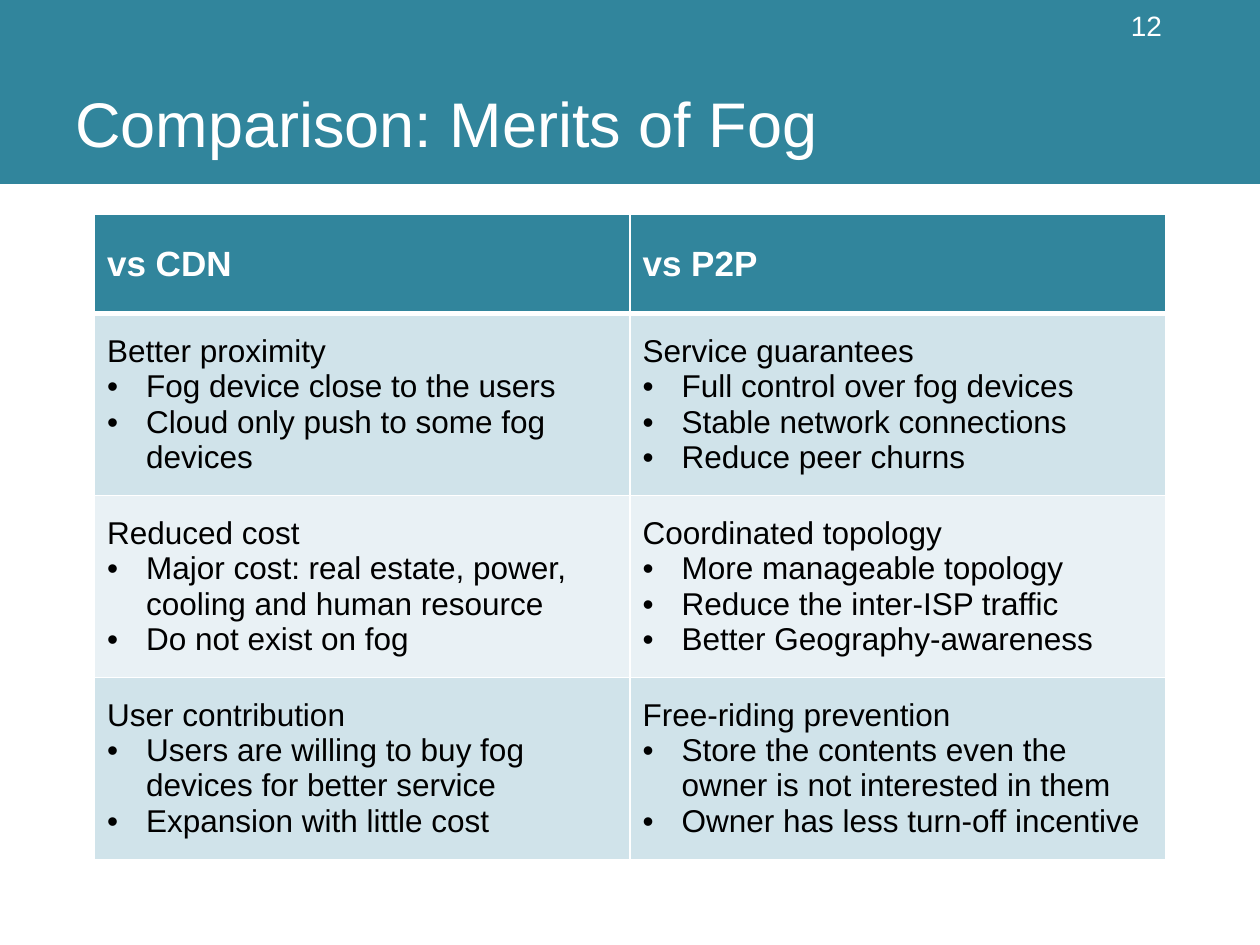
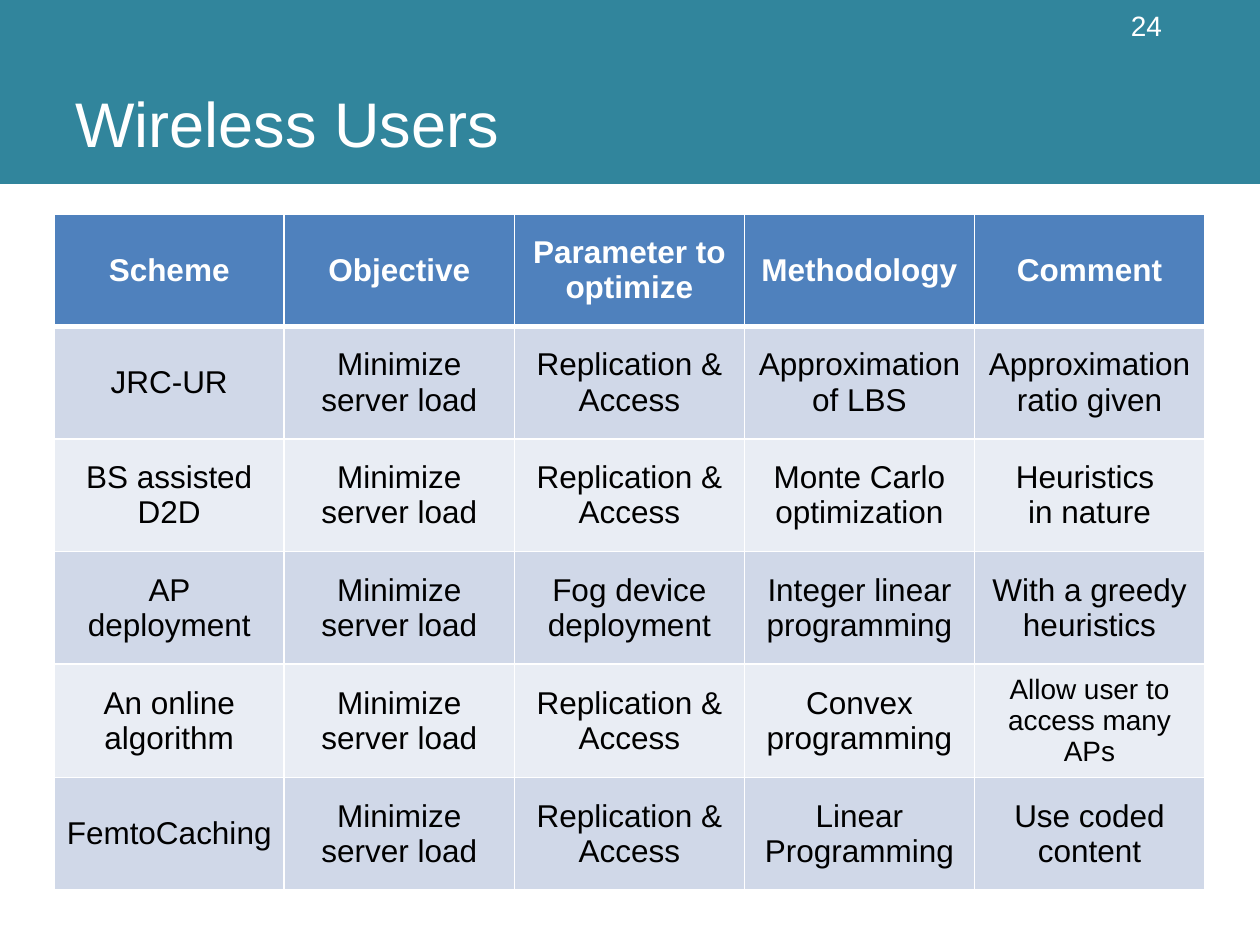
from lxml import etree
from pptx import Presentation
from pptx import util as u
from pptx.dml.color import RGBColor
from pptx.enum import shapes, text
from pptx.oxml import ns

Inches, Pt = u.Inches, u.Pt
FONT = "Arial"
WHITE, BLACK = "FFFFFF", "000000"
TEAL, BLUE = "31859C", "4F81BD"
TEAL_ROWS = ["D0E3EA", "E9F1F5"]
BLUE_ROWS = ["D0D8E8", "E9EDF4"]
LEFT, MID, RIGHT = text.PP_ALIGN.LEFT, text.PP_ALIGN.CENTER, text.PP_ALIGN.RIGHT

MERITS = [
    ["vs CDN", "vs P2P"],
    ["Better proximity\nFog device close to the users\n"
     "Cloud only push to some fog devices",
     "Service guarantees\nFull control over fog devices\n"
     "Stable network connections\nReduce peer churns"],
    ["Reduced cost\nMajor cost: real estate, power, cooling and human resource\n"
     "Do not exist on fog",
     "Coordinated topology\nMore manageable topology\n"
     "Reduce the inter-ISP traffic\nBetter Geography-awareness"],
    ["User contribution\nUsers are willing to buy fog devices for better service\n"
     "Expansion with little cost",
     "Free-riding prevention\n"
     "Store the contents even the owner is not interested in them\n"
     "Owner has less turn-off incentive"],
]

LOAD, ACCESS = "Minimize server load", "Replication & Access"
MANY = "Allow user to access many APs"
SCHEMES = [
    ["Scheme", "Objective", "Parameter to optimize", "Methodology", "Comment"],
    ["JRC-UR", LOAD, ACCESS, "Approximation of LBS", "Approximation ratio given"],
    ["BS assisted D2D", LOAD, ACCESS, "Monte Carlo optimization",
     "Heuristics \nin nature"],
    ["AP deployment", LOAD, "Fog device deployment",
     "Integer linear programming", "With a greedy heuristics"],
    ["An online algorithm", LOAD, ACCESS, "Convex programming", MANY],
    ["FemtoCaching", LOAD, ACCESS, "Linear Programming", "Use coded content"],
]


def color(code):
    return RGBColor.from_string(code)


def paint(item, code):
    item.fill.solid()
    item.fill.fore_color.rgb = color(code)


def style(para, size, code, align=LEFT, bold=False):
    para.alignment = align
    para.font.name = FONT
    para.font.size = Pt(size)
    para.font.bold = bold
    para.font.color.rgb = color(code)


def label(slide, box, words, size, anchor, align=LEFT):
    frame = slide.shapes.add_textbox(*map(Inches, box)).text_frame
    frame.word_wrap = True
    frame.vertical_anchor = anchor
    frame.text = words
    style(frame.paragraphs[0], size, WHITE, align)


def banner(slide, box, title, number):
    left, top, width, height = box
    band = slide.shapes.add_shape(shapes.MSO_SHAPE.RECTANGLE, *map(Inches, box))
    band.shadow.inherit = False
    band.line.fill.background()
    paint(band, TEAL)
    label(slide, (left + 0.5, top, width - 1.18, height - 0.14), title, 36,
          text.MSO_ANCHOR.BOTTOM)
    label(slide, (left + width - 3.37, top, 2.69, 0.4), number, 16,
          text.MSO_ANCHOR.MIDDLE, RIGHT)


def edge(cell, side, points):
    props = cell._tc.get_or_add_tcPr()
    line = etree.SubElement(props, ns.qn("a:ln" + side), w=str(Pt(points)))
    fill = etree.SubElement(line, ns.qn("a:solidFill"))
    etree.SubElement(fill, ns.qn("a:srgbClr"), val=WHITE)


def bullet(para):
    props = para._p.get_or_add_pPr()
    props.set("marL", str(Inches(0.31)))
    props.set("indent", str(-Inches(0.31)))
    etree.SubElement(props, ns.qn("a:buFont"), typeface=FONT)
    etree.SubElement(props, ns.qn("a:buChar"), char="•")


def fill_cell(cell, words, row, look):
    for side in "LRTB":
        thick = (row, side) in [(0, "B"), (1, "T")]
        edge(cell, side, 3 if thick else 1)
    head = row == 0
    paint(cell, look["head"] if head else look["rows"][(row - 1) % 2])
    cell.vertical_anchor = text.MSO_ANCHOR.MIDDLE
    cell.text = words
    size = look["size"] if head else 16 if words == MANY else 18
    for spot, para in enumerate(cell.text_frame.paragraphs):
        style(para, size, WHITE if head else BLACK, look["align"], head)
        if look["list"] and spot:
            bullet(para)


def grid(slide, box, data, top_row, look):
    left, top, width, height = box
    count, span = len(data), len(data[0])
    table = slide.shapes.add_table(count, span, *map(Inches, box)).table
    for column in table.columns:
        column.width = Inches(width / span)
    for row, line in enumerate(data):
        rest = (height - top_row) / (count - 1)
        table.rows[row].height = Inches(rest if row else top_row)
        for col, words in enumerate(line):
            fill_cell(table.cell(row, col), words, row, look)


def main():
    deck = Presentation()
    deck.slide_width, deck.slide_height = Inches(10), Inches(7.5)
    teal = dict(head=TEAL, rows=TEAL_ROWS, size=20, align=LEFT, list=True)
    blue = dict(head=BLUE, rows=BLUE_ROWS, size=18, align=MID, list=False)
    pages = [
        ("Comparison: Merits of Fog", "12", (0.75, 1.7, 8.5, 5.12), MERITS, 0.79, teal),
        ("Wireless Users", "24", (0.43, 1.7, 9.13, 5.36), SCHEMES, 0.89, blue),
    ]
    for title, number, box, data, top_row, look in pages:
        slide = deck.slides.add_slide(deck.slide_layouts[6])
        banner(slide, (0, 0, 10, 1.46), title, number)
        grid(slide, box, data, top_row, look)
    deck.save("out.pptx")


if __name__ == "__main__":
    main()
